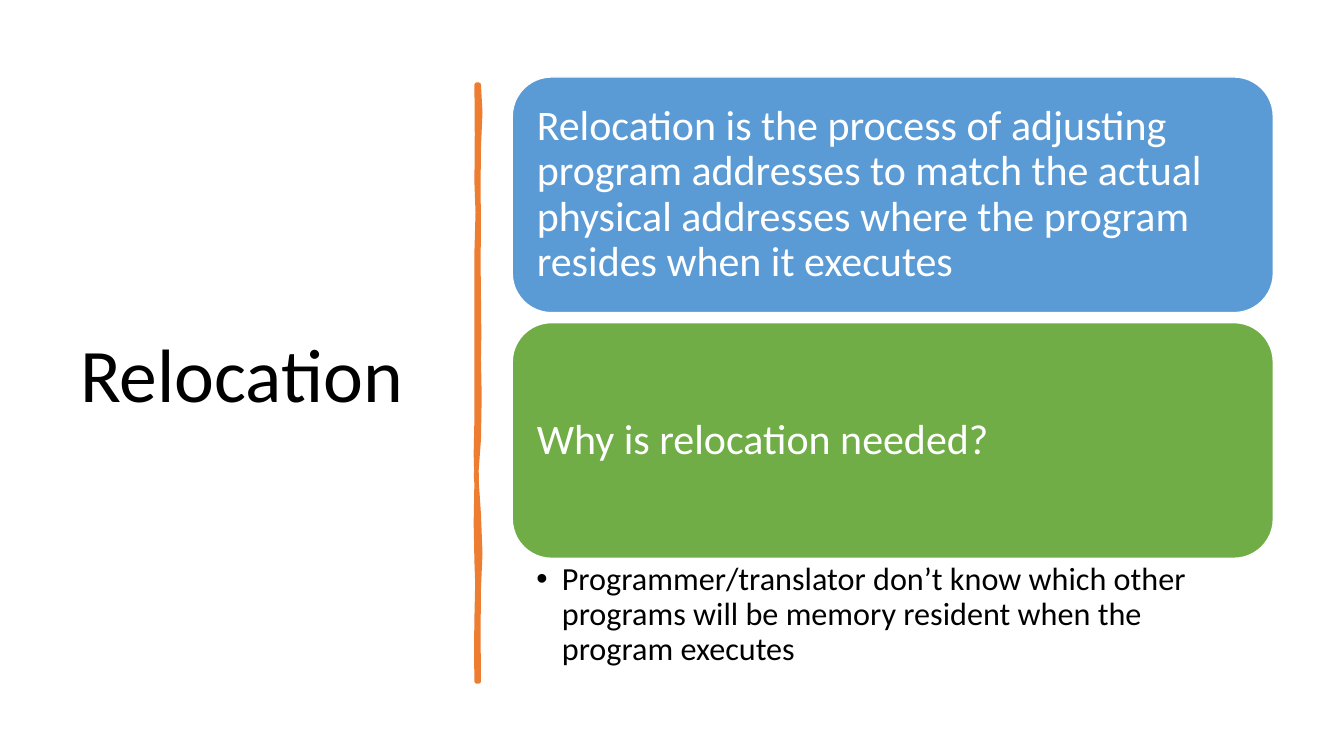
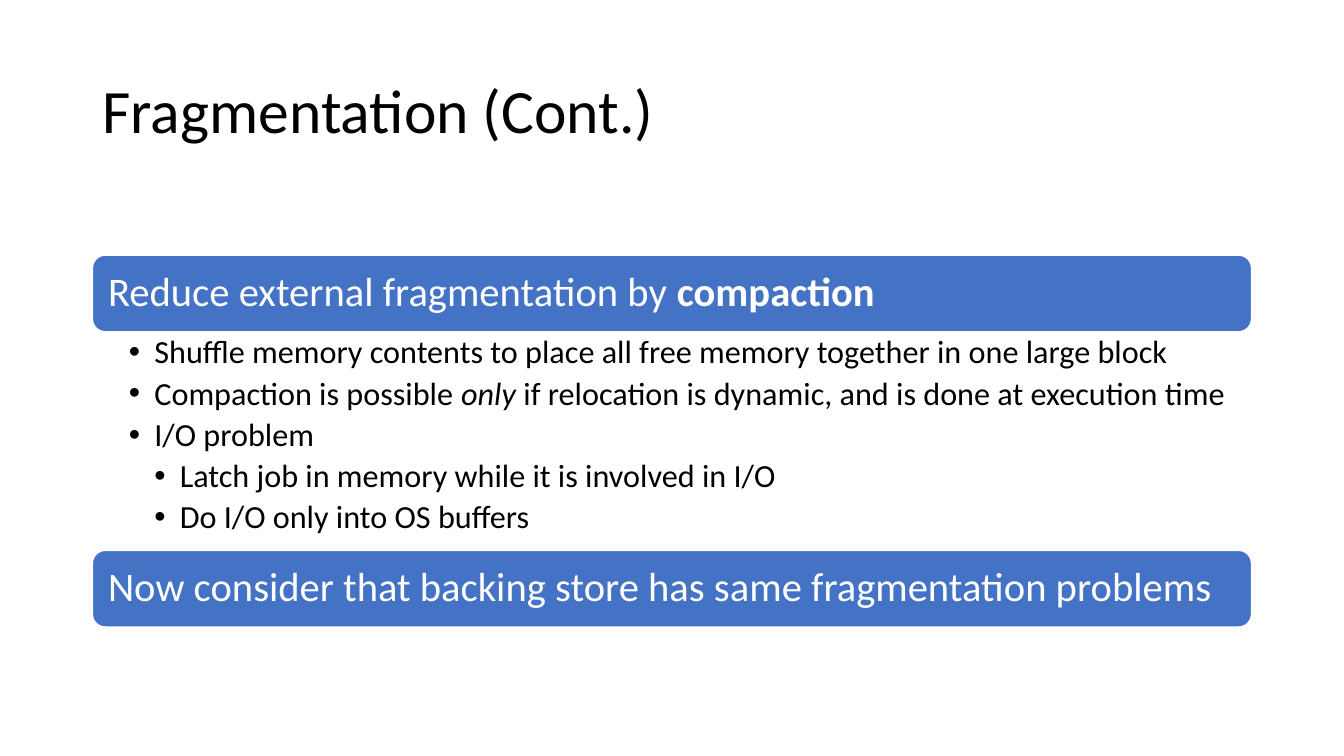
from lxml import etree
from pptx import Presentation
from pptx.dml.color import RGBColor
from pptx.enum.shapes import MSO_SHAPE
from pptx.enum.text import MSO_ANCHOR, MSO_AUTO_SIZE, PP_ALIGN
from pptx.oxml.ns import qn
from pptx.util import Cm, Pt

ROUNDED = MSO_SHAPE.ROUNDED_RECTANGLE
MIDDLE, TOP = MSO_ANCHOR.MIDDLE, MSO_ANCHOR.TOP
LEFT = PP_ALIGN.LEFT
NO_FIT = MSO_AUTO_SIZE.NONE

FONT = "Calibri"
BLACK = RGBColor(0x00, 0x00, 0x00)
WHITE = RGBColor(0xFF, 0xFF, 0xFF)
ORANGE = RGBColor(0xED, 0x7D, 0x31)
LIGHT_BLUE = RGBColor(0x5B, 0x9B, 0xD5)
GREEN = RGBColor(0x70, 0xAD, 0x47)
BLUE = RGBColor(0x44, 0x72, 0xC4)

BULLET_INDENT = 0.64
LIST_SIZE = 23

# Edges of the hand-drawn divider in hundredths of an inch:
# two Bezier control points and an end point per segment.
DIVIDER_START = (475, 84)
DIVIDER_CURVES = [
    (477, 102, 477, 119, 475, 146), (473, 173, 476, 195, 475, 226),
    (474, 257, 475, 262, 475, 294), (474, 325, 477, 342, 475, 356),
    (473, 370, 479, 414, 475, 436), (471, 457, 472, 484, 475, 510),
    (477, 536, 477, 564, 475, 584), (473, 603, 476, 650, 475, 676),
    (474, 676, 473, 676, 473, 676), (474, 646, 471, 644, 473, 613),
    (474, 583, 474, 570, 473, 557), (472, 544, 472, 495, 473, 477),
    (473, 459, 471, 445, 473, 415), (474, 386, 472, 373, 473, 335),
    (474, 298, 472, 281, 473, 250), (474, 218, 475, 200, 473, 181),
    (470, 163, 477, 104, 473, 84),
]
CURVE_STEPS = 2

SLIDES = [
    {
        "title": ("Relocation", 54, (1.77, 1.76, 9.5, 15.52)),
        "divider": True,
        "banner_size": 30,
        "banner_inset": 0.33,
        "banner_area": (12.91, 19.18, 5.94),
        "banners": [
            (1.94, LIGHT_BLUE, [("Relocation is the process of adjusting program addresses to match "
                                 "the actual physical addresses where the program resides when it "
                                 "executes", "")]),
            (8.13, GREEN, [("Why is relocation needed?", "")]),
        ],
        "list_area": (12.91, 14.08, 19.18, 2.92),
        "list_inset": 0.61,
        "items": [
            (0, [("Programmer/translator don’t know which other programs will be memory "
                  "resident when the program executes", "")]),
        ],
    },
    {
        "title": ("Fragmentation (Cont.)", 44, (2.33, 1.01, 29.21, 3.68)),
        "divider": False,
        "banner_size": 29,
        "banner_inset": 0.3,
        "banner_area": (2.33, 29.21, 1.93),
        "banners": [
            (6.43, BLUE, [("Reduce external fragmentation by ", ""), ("compaction", "bold")]),
            (13.87, BLUE, [("Now consider that backing store has same fragmentation problems", "")]),
        ],
        "list_area": (2.33, 8.37, 29.21, 5.51),
        "list_inset": 0.92,
        "items": [
            (0, [("Shuffle memory contents to place all free memory together in one large block", "")]),
            (0, [("Compaction is possible ", ""), ("only", "italic"),
                 (" if relocation is dynamic, and is done at execution time", "")]),
            (0, [("I/O problem", "")]),
            (1, [("Latch job in memory while it is involved in I/O", "")]),
            (1, [("Do I/O only into OS buffers", "")]),
        ],
    },
]


def place(box, area, anchor, insets):
    """Move a box and set up its text frame; all lengths in centimetres."""
    box.left, box.top, box.width, box.height = [Cm(length) for length in area]
    frame = box.text_frame
    frame.word_wrap = True
    frame.auto_size = NO_FIT
    frame.vertical_anchor = anchor
    (frame.margin_left, frame.margin_top,
     frame.margin_right, frame.margin_bottom) = [Cm(inset) for inset in insets]
    return frame


def write(para, spans, size, color, space_after=0):
    """Fill a paragraph with (text, style) spans, style being bold, italic or empty."""
    for text, style in spans:
        span = para.add_run()
        span.text = text
        if style:
            setattr(span.font, style, True)
    para.alignment = LEFT
    para.line_spacing = 0.9
    para.space_before = Pt(0)
    para.space_after = Pt(space_after)
    para.font.name = FONT
    para.font.size = Pt(size)
    para.font.color.rgb = color


deck = Presentation()
deck.slide_width, deck.slide_height = Cm(33.87), Cm(19.05)
title_and_content = deck.slide_layouts[1]

for content in SLIDES:
    page = deck.slides.add_slide(title_and_content)

    title_text, title_size, title_area = content["title"]
    title_frame = place(page.shapes.title, title_area, MIDDLE, (0.25, 0.13, 0.25, 0.13))
    write(title_frame.paragraphs[0], [(title_text, "")], title_size, BLACK)

    if content["divider"]:
        unit = Cm(2.54) / 100
        x, y = DIVIDER_START
        outline = page.shapes.build_freeform(x * unit, y * unit)
        points = []
        for x1, y1, x2, y2, x3, y3 in DIVIDER_CURVES:
            for step in range(1, CURVE_STEPS + 1):
                t = step / CURVE_STEPS
                weights = ((1 - t) ** 3, 3 * t * (1 - t) ** 2, 3 * t ** 2 * (1 - t), t ** 3)
                points.append(tuple(
                    unit * sum(weight * value for weight, value in zip(weights, values))
                    for values in ((x, x1, x2, x3), (y, y1, y2, y3))))
            x, y = x3, y3
        outline.add_line_segments(points)
        divider = outline.convert_to_shape()
        divider.shadow.inherit = False
        divider.fill.solid()
        divider.fill.fore_color.rgb = ORANGE
        divider.line.color.rgb = ORANGE
        divider.line.width = Pt(3.25)

    left, width, height = content["banner_area"]
    for top, color, spans in content["banners"]:
        banner = page.shapes.add_shape(ROUNDED, 0, 0, 0, 0)
        banner.shadow.inherit = False
        banner.fill.solid()
        banner.fill.fore_color.rgb = color
        banner.line.color.rgb = WHITE
        banner.line.width = Pt(1)
        banner_frame = place(banner, (left, top, width, height), MIDDLE,
                             (content["banner_inset"], 0.3, 0.3, 0.3))
        write(banner_frame.paragraphs[0], spans, content["banner_size"], WHITE)

    list_frame = place(page.placeholders[1], content["list_area"], TOP,
                       (content["list_inset"], 0.1, 0.58, 0.1))
    for index, (level, spans) in enumerate(content["items"]):
        para = list_frame.add_paragraph() if index else list_frame.paragraphs[0]
        para.level = level
        properties = para._p.get_or_add_pPr()
        properties.set("marL", str(Cm(BULLET_INDENT * (level + 1))))
        properties.set("indent", str(-Cm(BULLET_INDENT)))
        etree.SubElement(properties, qn("a:buFont")).set("typeface", "Arial")
        etree.SubElement(properties, qn("a:buChar")).set("char", "•")
        write(para, spans, LIST_SIZE, BLACK, space_after=LIST_SIZE * 0.2)

deck.save("out.pptx")
